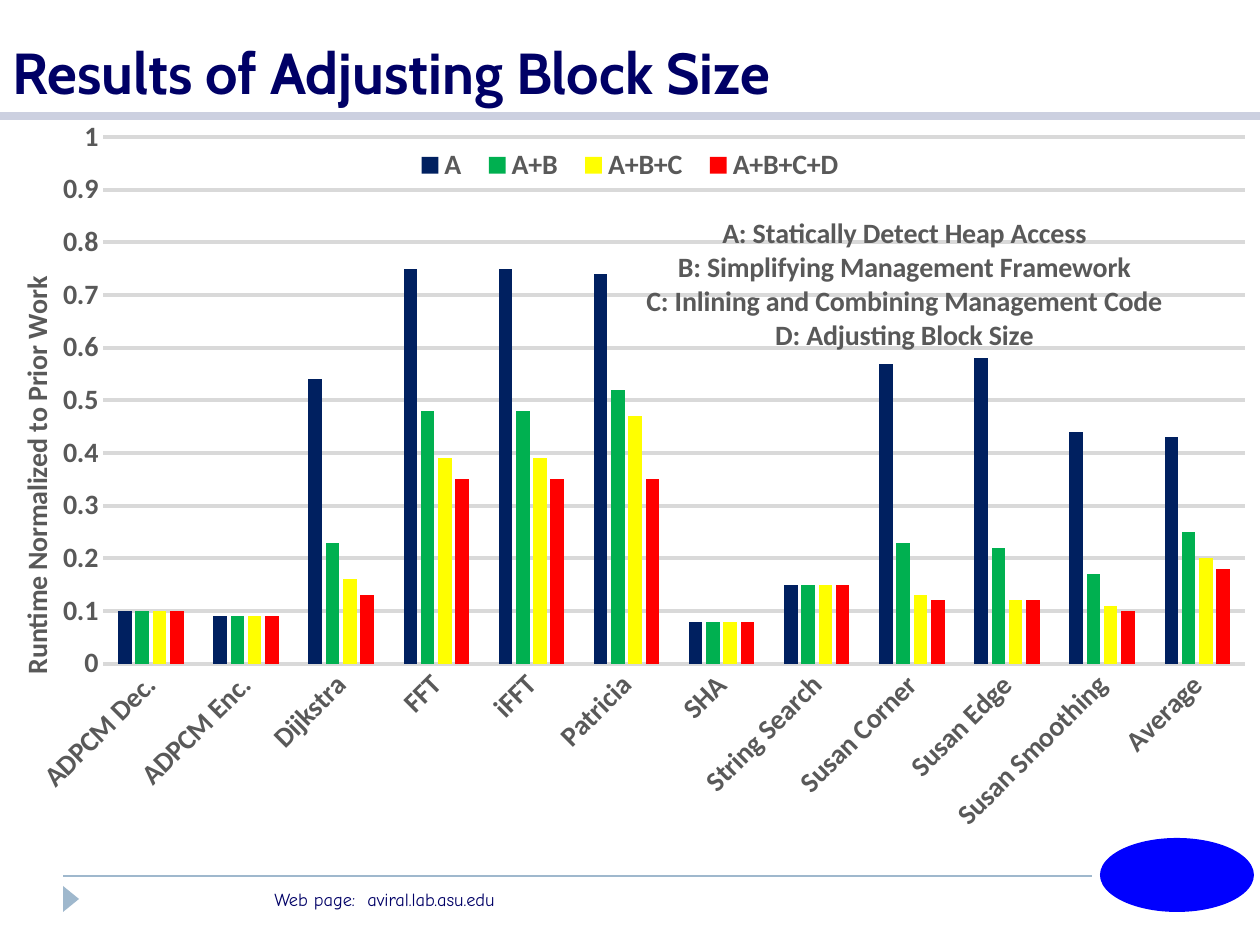
from dataclasses import dataclass

from lxml import etree
from pptx import Presentation
from pptx import util as u
from pptx.chart.data import CategoryChartData
from pptx.dml.color import RGBColor
from pptx.enum import chart as ch, shapes, text
from pptx.oxml.ns import qn

PX = 914400 / 126
HUES = {"navy": "000066", "steel": "9FB8CD", "rule": "CCD0E0", "mark": "0000FF",
        "gray": "595959", "grid": "D9D9D9", "black": "000000",
        "A": "002060", "A+B": "00B050", "A+B+C": "FFFF00", "A+B+C+D": "FF0000"}
CATS = ["ADPCM Dec.", "ADPCM Enc.", "Dijkstra", "FFT", "iFFT", "Patricia", "SHA",
        "String Search", "Susan Corner", "Susan Edge", "Susan Smoothing", "Average"]
RUNS = {
    "A": [0.1, 0.09, 0.54, 0.75, 0.75, 0.74, 0.08, 0.15, 0.57, 0.58, 0.44, 0.43],
    "A+B": [0.1, 0.09, 0.23, 0.48, 0.48, 0.52, 0.08, 0.15, 0.23, 0.22, 0.17, 0.25],
    "A+B+C": [0.1, 0.09, 0.16, 0.39, 0.39, 0.47, 0.08, 0.15, 0.13, 0.12, 0.11, 0.2],
    "A+B+C+D": [0.1, 0.09, 0.13, 0.35, 0.35, 0.35, 0.08, 0.15, 0.12, 0.12, 0.1, 0.18],
}
NOTE = ["A: Statically Detect Heap Access", "B: Simplifying Management Framework",
        "C: Inlining and Combining Management Code", "D: Adjusting Block Size"]


@dataclass
class Rule:
    left: int
    right: int
    y: int
    hue: str
    width: float


@dataclass
class Label:
    box: tuple[int, int, int, int]
    words: str
    face: str
    size: float
    bold: bool
    anchor: text.MSO_ANCHOR


@dataclass
class Mark:
    box: tuple[int, int, int, int]
    kind: shapes.MSO_SHAPE
    hue: str
    turn: int = 0


RULES = [Rule(63, 1092, 876, "steel", 1), Rule(0, 1260, 116, "rule", 5)]
MARKS = [Mark((58, 891, 26, 16), shapes.MSO_SHAPE.ISOSCELES_TRIANGLE, "steel", 90),
         Mark((1100, 838, 154, 74), shapes.MSO_SHAPE.OVAL, "mark")]
LABELS = [
    Label((262, 882, 473, 35), "Web page:  aviral.lab.asu.edu", "Comic Neue", 10.5,
          False, text.MSO_ANCHOR.TOP),
    Label((0, 0, 1260, 112), "Results of Adjusting Block Size", "Cabin", 33,
          True, text.MSO_ANCHOR.BOTTOM),
]


def emu(*px: int) -> list[int]:
    return [round(n * PX) for n in px]


def rgb(hue: str) -> RGBColor:
    return RGBColor.from_string(HUES[hue])


def style(font, face: str, size: float, bold: bool, hue: str) -> None:
    font.name, font.size, font.bold = face, u.Pt(size), bold
    font.color.rgb = rgb(hue)


def draw_rule(slide, rule: Rule) -> None:
    line = slide.shapes.add_connector(
        shapes.MSO_CONNECTOR.STRAIGHT, *emu(rule.left, rule.y, rule.right, rule.y))
    line.line.color.rgb = rgb(rule.hue)
    line.line.width = u.Pt(rule.width)
    etree.SubElement(line._element.spPr, qn("a:effectLst"))


def draw_mark(slide, mark: Mark) -> None:
    shape = slide.shapes.add_shape(mark.kind, *emu(*mark.box))
    shape.shadow.inherit = False
    shape.fill.solid()
    shape.fill.fore_color.rgb = rgb(mark.hue)
    shape.line.fill.background()
    shape.rotation = mark.turn


def draw_label(slide, label: Label) -> None:
    frame = slide.shapes.add_textbox(*emu(*label.box)).text_frame
    frame.word_wrap = True
    frame.vertical_anchor = label.anchor
    para = frame.paragraphs[0]
    para.text = label.words
    style(para.font, label.face, label.size, label.bold, "navy")


def place(part, after: str = "", inner: bool = False, **spots: float) -> None:
    """Give a chart part a fixed layout, in fractions of the chart."""
    for old in part.findall(qn("c:layout")):
        part.remove(old)
    lay = etree.Element(qn("c:layout"))
    form = etree.SubElement(lay, qn("c:manualLayout"))
    if inner:
        etree.SubElement(form, qn("c:layoutTarget")).set("val", "inner")
    for mode in ("xMode", "yMode"):
        etree.SubElement(form, qn(f"c:{mode}")).set("val", "edge")
    for name, spot in spots.items():
        etree.SubElement(form, qn(f"c:{name}")).set("val", str(spot))
    if after:
        part.find(qn(after)).addnext(lay)
    else:
        part.insert(0, lay)


def write_title(title, lines: list[str]) -> None:
    frame = title.text_frame
    frame.text = "\n".join(lines)
    for para in frame.paragraphs:
        style(para.font, "Calibri", 16, True, "gray")


def draw_chart(slide) -> None:
    data = CategoryChartData()
    data.categories = CATS
    for name, vals in RUNS.items():
        data.add_series(name, vals)
    chart = slide.shapes.add_chart(
        ch.XL_CHART_TYPE.COLUMN_CLUSTERED, *emu(0, 112, 1260, 760), data).chart
    style(chart.font, "Calibri", 10, False, "black")

    # Bars
    plot = chart.plots[0]
    plot.gap_width, plot.overlap, plot.vary_by_categories = 219, -27, False
    for bars in plot.series:
        bars.invert_if_negative = False
        bars.format.fill.solid()
        bars.format.fill.fore_color.rgb = rgb(bars.name)
    place(chart._chartSpace.chart.plotArea, inner=True, x=0.08, y=0.03, w=0.91, h=0.69)
    place(chart._chartSpace.chart.plotArea, inner=True,
          x=0.082, y=0.033, w=0.906, h=0.693)

    # Axes
    cat, val = chart.category_axis, chart.value_axis
    for axis in (cat, val):
        axis.major_tick_mark = axis.minor_tick_mark = ch.XL_TICK_MARK.NONE
        style(axis.tick_labels.font, "Calibri", 16, True, "gray")
    cat.format.line.color.rgb = rgb("grid")
    cat.format.line.width = u.Pt(0.75)
    cat._element.txPr.find(qn("a:bodyPr")).set("rot", "-2700000")
    val.minimum_scale, val.maximum_scale, val.major_unit = 0, 1, 0.1
    val.tick_labels.number_format = "General"
    val.tick_labels.number_format_is_linked = False
    val.format.line.fill.background()
    val.major_gridlines.format.line.color.rgb = rgb("grid")
    val.major_gridlines.format.line.width = u.Pt(2.25)
    write_title(val.axis_title, ["Runtime Normalized to Prior Work"])
    place(val.axis_title._element, "c:tx", x=0.01, y=0.21)

    # Key to the letters, and legend
    write_title(chart.chart_title, NOTE)
    place(chart.chart_title._element, "c:tx", x=0.51, y=0.13)
    chart.has_legend = True
    chart.legend.position = ch.XL_LEGEND_POSITION.BOTTOM
    chart.legend.include_in_layout = False
    style(chart.legend.font, "Calibri", 16, True, "gray")
    place(chart.legend._element, "c:legendPos", x=0.32, y=0.04, w=0.36, h=0.06)


def main() -> None:
    deck = Presentation()
    deck.slide_width, deck.slide_height = emu(1260, 945)
    slide = deck.slides.add_slide(deck.slide_layouts[6])
    for rule in RULES:
        draw_rule(slide, rule)
    for mark in MARKS:
        draw_mark(slide, mark)
    for label in LABELS:
        draw_label(slide, label)
    draw_chart(slide)
    deck.save("out.pptx")


if __name__ == "__main__":
    main()
